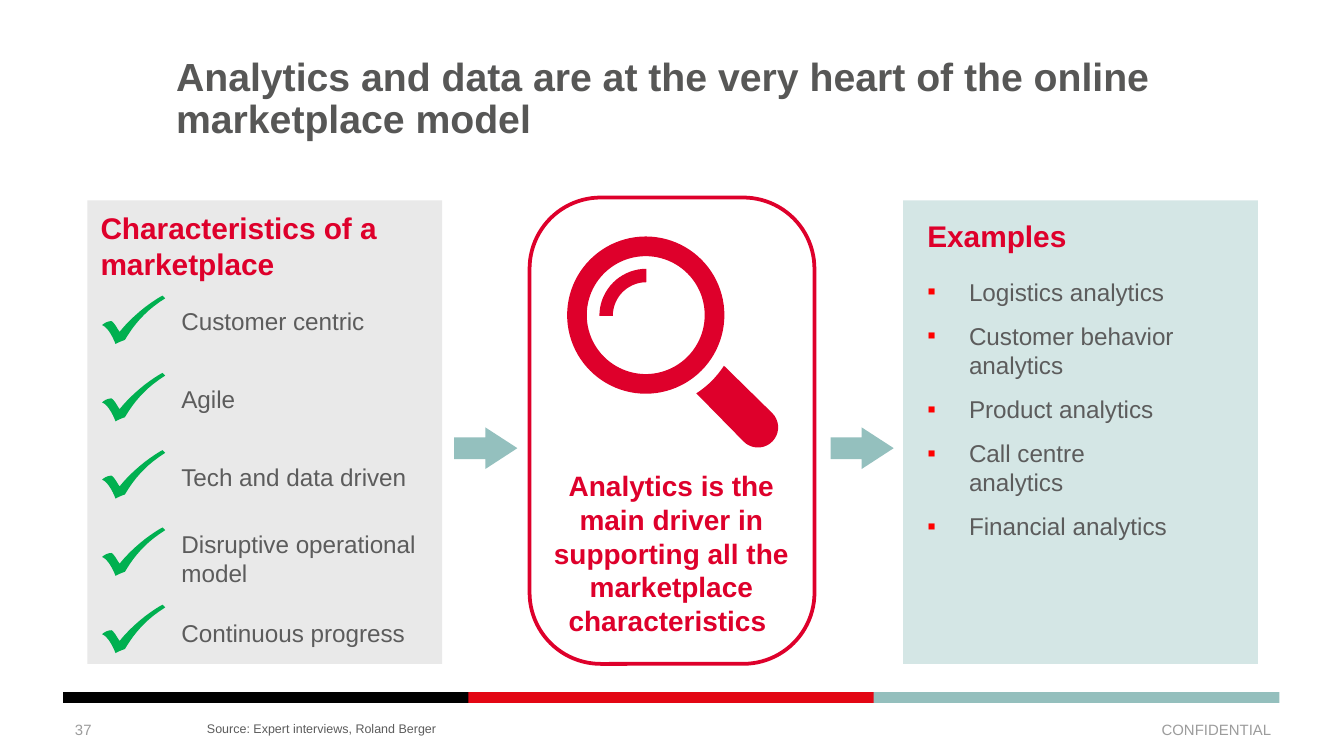
from math import cos, radians, sin

from lxml import etree
from pptx import Presentation
from pptx.dml.color import RGBColor
from pptx.enum.shapes import MSO_SHAPE
from pptx.enum.text import MSO_ANCHOR, MSO_AUTO_SIZE, PP_ALIGN
from pptx.oxml.ns import qn
from pptx.util import Inches, Pt

RECT, ROUND = MSO_SHAPE.RECTANGLE, MSO_SHAPE.ROUNDED_RECTANGLE
ARROW, RING = MSO_SHAPE.RIGHT_ARROW, MSO_SHAPE.DONUT
TOP, MID, LOW = MSO_ANCHOR.TOP, MSO_ANCHOR.MIDDLE, MSO_ANCHOR.BOTTOM
LEFT, CENTER, RIGHT = PP_ALIGN.LEFT, PP_ALIGN.CENTER, PP_ALIGN.RIGHT
FIXED = MSO_AUTO_SIZE.NONE
RED, GRAY, PALE, TEAL, GREEN = "DE002B", "5C5C5C", "9C9C9C", "94C0BE", "00B050"


def tint(fill, color):
    fill.solid()
    fill.fore_color.rgb = RGBColor.from_string(color)


def write(text, at, box=None, size=13, color=GRAY, bold=False, align=LEFT,
          anchor=TOP, inset=(0, 0), wrap=True, lead=1.0, gap=0, bullet=None):
    """Write each line of text as a paragraph in a new or given box."""
    left, top, width, height = [Inches(v) for v in at]
    if box is None:
        box = slide.shapes.add_textbox(left, top, width, height)
    box.left, box.top, box.width, box.height = left, top, width, height
    frame = box.text_frame
    frame.text = text
    frame.word_wrap, frame.auto_size = wrap, FIXED
    frame.vertical_anchor = anchor
    frame.margin_left = frame.margin_right = Inches(inset[0])
    frame.margin_top = frame.margin_bottom = Inches(inset[1])
    for i, para in enumerate(frame.paragraphs):
        para.alignment, para.line_spacing = align, lead
        para.space_before = Pt(gap if i else 0)
        if bullet:
            props = para._p.get_or_add_pPr()
            props.set("marL", str(Inches(0.31)))
            props.set("indent", str(-Inches(0.31)))
            hue = etree.SubElement(props, qn("a:buClr"))
            etree.SubElement(hue, qn("a:srgbClr"), val="FF0000")
            etree.SubElement(props, qn("a:buFont"), typeface="Arial")
            etree.SubElement(props, qn("a:buChar"), char=bullet)
        font = para.font
        font.name, font.size, font.bold = "Arial", Pt(size), bold
        tint(font.fill, color)


# Widescreen slide, 16 by 9
deck = Presentation()
deck.slide_width = Inches(10)
deck.slide_height = Inches(10 * 9 / 16)
slide = deck.slides.add_slide(deck.slide_layouts[1])
title, body = slide.placeholders

# Title
write("Analytics and data are at the very heart of the online marketplace model",
      (1.31, 0.43, 8.09, 0.94), title, size=21, color="575756", bold=True, lead=0.9)

# Footer bar, panels, arrows and lens ring
blocks = [(RECT, (0.47 + 3.015 * i, 5.15, 3.02, 0.08), color, [])
          for i, color in enumerate(["000000", "E30613", "94BFBD"])]
blocks += [(RECT, (0.65, 1.49, 2.64, 3.45), "E9E9E9", []),
           (RECT, (6.72, 1.49, 2.64, 3.45), "D4E6E5", []),
           (ARROW, (3.38, 3.18, 0.47, 0.31), TEAL, [0.52, 0.77]),
           (ARROW, (6.18, 3.18, 0.47, 0.31), TEAL, [0.52, 0.77]),
           (RING, (4.22, 1.76, 1.17, 1.17), RED, [0.125]),
           (ROUND, (3.94, 1.47, 2.12, 3.47), None, [0.25])]
for kind, at, color, bends in blocks:
    shape = slide.shapes.add_shape(kind, *[Inches(v) for v in at])
    shape.shadow.inherit = False
    for i, bend in enumerate(bends):
        shape.adjustments[i] = bend
    if color:
        tint(shape.fill, color)
        shape.line.fill.background()
    else:
        shape.fill.background()
        tint(shape.line.fill, RED)
        shape.line.width = Pt(2)

# Check mark: cubic curves sampled as points, relative to its corner
curves = [[(0, 0.22), (0.02, 0.2), (0.05, 0.19), (0.07, 0.19)],
          [(0.07, 0.19), (0.09, 0.2), (0.11, 0.24), (0.13, 0.27)],
          [(0.13, 0.27), (0.25, 0.12), (0.41, 0.02), (0.45, 0)],
          [(0.45, 0), (0.45, 0), (0.46, 0.01), (0.47, 0.02)],
          [(0.47, 0.02), (0.31, 0.12), (0.23, 0.23), (0.17, 0.33)],
          [(0.17, 0.33), (0.14, 0.34), (0.12, 0.35), (0.1, 0.36)],
          [(0.1, 0.36), (0.07, 0.28), (0.03, 0.23), (0, 0.22)]]
tick = []
for curve in curves:
    for t in [i / 10 for i in range(10)]:
        parts = (1 - t) ** 3, 3 * t * (1 - t) ** 2, 3 * t * t * (1 - t), t ** 3
        tick.append([sum(w * p[k] for w, p in zip(parts, curve)) for k in (0, 1)])

# Lens glint and handle: arcs of (center x, center y, radius, from, to)
glint = [(4.81, 2.35, 0.35, 180, 270), (4.81, 2.35, 0.25, 270, 180)]
handle = [(5.64, 3.18, 0.15, -45, 135), (4.8, 2.34, 0.7, 57, 33)]
outlines = [([(0.76 + x, 2.2 + 0.575 * i + y) for x, y in tick], GREEN)
            for i in range(5)]
for arcs in (glint, handle):
    points = []
    for x, y, r, start, end in arcs:
        for i in range(19):
            turn = radians(start + (end - start) * i / 18)
            points.append((x + r * cos(turn), y + r * sin(turn)))
    outlines.append((points, RED))

for points, color in outlines:
    dots = [(Inches(x), Inches(y)) for x, y in points]
    pen = slide.shapes.build_freeform(*dots[0])
    pen.add_line_segments(dots[1:], close=True)
    shape = pen.convert_to_shape()
    shape.shadow.inherit = False
    tint(shape.fill, color)
    shape.line.fill.background()

# Characteristics
write("Characteristics of a marketplace", (0.65, 1.51, 3.24, 0.64),
      size=16, color=RED, bold=True, inset=(0.1, 0.05))
traits = ["Customer centric", "Agile", "Tech and data driven",
          "Disruptive operational model", "Continuous progress"]
for i, trait in enumerate(traits):
    tall = len(trait) > 25
    write(trait, (1.35, 2.28 + 0.58 * i - 0.08 * tall,
                  2.08 if tall else 2.37, 0.44 if tall else 0.22))

# Main message
write("Analytics is the main driver in supporting all the marketplace characteristics ",
      (4.07, 3.49, 1.85, 1.26), size=15, color=RED, bold=True, align=CENTER)

# Examples, with the list brought in front of its panel
write("Examples", (6.9, 1.62, 1.58, 0.27), size=16, color=RED, bold=True)
cases = ["Logistics analytics", "Customer behavior analytics", "Product analytics",
         "Call centre analytics", "Financial analytics"]
write("\n".join(cases), (6.9, 2.06, 1.89, 1.98), body, gap=8, bullet="▪")
body._element.getparent().append(body._element)

# Footer
write("37", (0.46, 5.28, 2.33, 0.3), size=8, color=PALE, anchor=MID, inset=(0.1, 0.05))
write("Source: Expert interviews, Roland Berger", (1.54, 5.38, 1.74, 0.1),
      size=6.7, anchor=LOW, wrap=False, lead=0.9)
write("CONFIDENTIAL", (7.23, 5.28, 2.33, 0.3), size=8, color=PALE, align=RIGHT,
      anchor=MID, inset=(0.1, 0.05))

deck.save("out.pptx")
